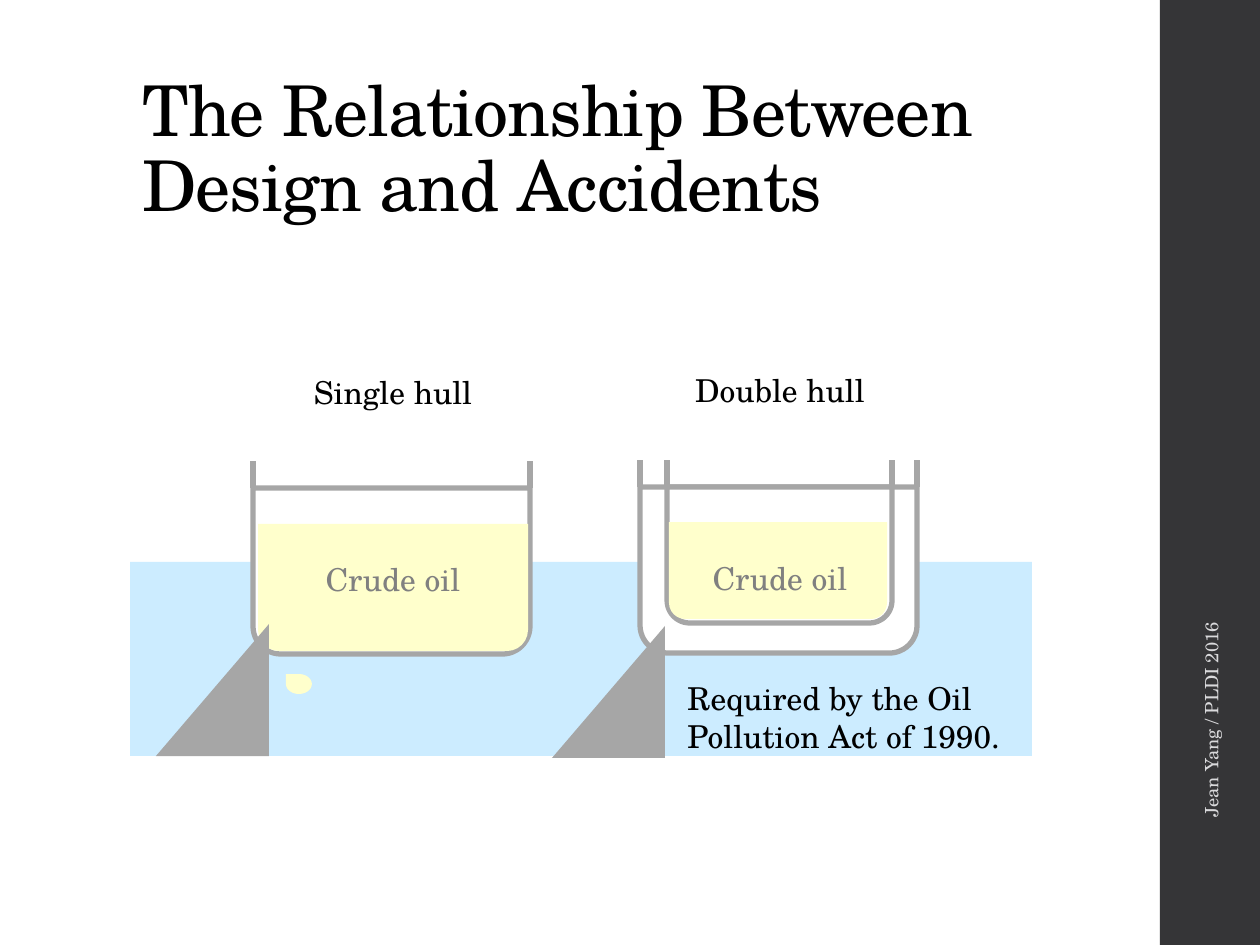
import dataclasses

import pptx
import pptx.dml.color
import pptx.enum.shapes
import pptx.enum.text
import pptx.oxml
import pptx.oxml.ns
import pptx.util

EMU_PER_PX = 914400 / 126
FONT = "TeX Gyre Schola"
COLORS = {
    "sidebar": "353537",
    "footer": "D9D9DB",
    "sea": "CCECFF",
    "steel": "A6A6A6",
    "oil": "FFFFCC",
    "oil_text": "808080",
    "hollow": "FFFFFF",
    "text": "000000",
}
SHAPES = pptx.enum.shapes.MSO_SHAPE
ALIGN = pptx.enum.text.PP_ALIGN
ANCHOR = pptx.enum.text.MSO_ANCHOR


@dataclasses.dataclass(frozen=True)
class Box:
    left: int
    top: int
    width: int
    height: int


@dataclasses.dataclass(frozen=True)
class Tanker:
    name: str
    hulls: tuple[Box, ...]
    oil: Box
    name_box: Box
    oil_label_box: Box
    rail_top: int
    rock: Box


TANKERS = (
    Tanker(
        name="Single hull",
        hulls=(Box(253, 488, 277, 166),),
        oil=Box(258, 524, 270, 127),
        name_box=Box(258, 367, 270, 50),
        oil_label_box=Box(258, 554, 270, 50),
        rail_top=461,
        rock=Box(156, 624, 113, 132),
    ),
    Tanker(
        name="Double hull",
        hulls=(Box(640, 487, 277, 166), Box(667, 487, 225, 136)),
        oil=Box(669, 522, 218, 97),
        name_box=Box(645, 365, 270, 50),
        oil_label_box=Box(645, 553, 270, 50),
        rail_top=460,
        rock=Box(552, 626, 113, 132),
    ),
)


def px(length: int) -> pptx.util.Emu:
    return pptx.util.Emu(round(length * EMU_PER_PX))


def frame(box: Box) -> tuple[pptx.util.Emu, ...]:
    return tuple(px(length) for length in dataclasses.astuple(box))


def rgb(color: str) -> pptx.dml.color.RGBColor:
    return pptx.dml.color.RGBColor.from_string(COLORS[color])


def style_line(line, color: str) -> None:
    line.color.rgb = rgb(color)
    line.width = pptx.util.Pt(3)


def add_shape(slide, kind, box: Box, fill: str, *, outline: str | None = None,
              rotation: int = 0):
    shape = slide.shapes.add_shape(kind, *frame(box))
    shape.shadow.inherit = False
    shape.rotation = rotation
    shape.fill.solid()
    shape.fill.fore_color.rgb = rgb(fill)
    if outline:
        style_line(shape.line, outline)
    else:
        shape.line.fill.background()
    return shape


def add_text(slide, text: str, box: Box, *, size: float = 18, color: str = "text",
             align=ALIGN.LEFT, anchor=ANCHOR.TOP, rotation: int = 0,
             line_spacing: float = 1.0, tracking: int = 0) -> None:
    """Place one paragraph; tracking is in hundredths of a point."""
    text_box = slide.shapes.add_textbox(*frame(box))
    text_box.rotation = rotation
    text_box.text_frame.word_wrap = True
    text_box.text_frame.vertical_anchor = anchor
    paragraph = text_box.text_frame.paragraphs[0]
    paragraph.alignment = align
    paragraph.line_spacing = line_spacing
    run = paragraph.add_run()
    run.text = text
    run.font.name = FONT
    run.font.size = pptx.util.Pt(size)
    run.font.color.rgb = rgb(color)
    if tracking:
        run.font._element.set("spc", str(tracking))


def add_rail(slide, x: int, bottom: int, top: int) -> None:
    rail = slide.shapes.add_connector(
        pptx.enum.shapes.MSO_CONNECTOR.STRAIGHT, px(x), px(bottom), px(x), px(top))
    style_line(rail.line, "steel")
    rail._element.spPr.append(pptx.oxml.parse_xml(
        f"<a:effectLst {pptx.oxml.ns.nsdecls('a')}/>"))


def add_tanker(slide, tanker: Tanker) -> None:
    for hull in tanker.hulls:
        add_shape(slide, SHAPES.ROUND_2_SAME_RECTANGLE, hull, "hollow",
                  outline="steel", rotation=180)
    add_shape(slide, SHAPES.ROUND_2_SAME_RECTANGLE, tanker.oil, "oil", rotation=180)
    for hull in tanker.hulls:
        for x in (hull.left, hull.left + hull.width):
            add_rail(slide, x, hull.top, tanker.rail_top)
    add_text(slide, "Crude oil", tanker.oil_label_box, color="oil_text",
             align=ALIGN.CENTER)
    add_text(slide, tanker.name, tanker.name_box, align=ALIGN.CENTER)
    rock = add_shape(slide, SHAPES.ISOSCELES_TRIANGLE, tanker.rock, "steel")
    rock.adjustments[0] = 1


def main() -> None:
    presentation = pptx.Presentation()
    presentation.slide_width = px(1260)
    presentation.slide_height = px(945)
    slide = presentation.slides.add_slide(presentation.slide_layouts[6])

    add_shape(slide, SHAPES.RECTANGLE, Box(1160, 0, 100, 945), "sidebar")
    add_text(slide, "Jean Yang / PLDI 2016", Box(964, 564, 494, 38), size=10.5,
             color="footer", anchor=ANCHOR.MIDDLE, rotation=270)
    add_text(slide, "The Relationship Between Design and Accidents",
             Box(130, 50, 1002, 183), size=40, anchor=ANCHOR.BOTTOM,
             line_spacing=0.9, tracking=-50)

    add_shape(slide, SHAPES.RECTANGLE, Box(130, 562, 902, 194), "sea")
    for tanker in TANKERS:
        add_tanker(slide, tanker)
    spill = add_shape(slide, SHAPES.TEAR, Box(286, 674, 26, 20), "oil")
    spill._element.spPr.find(pptx.oxml.ns.qn("a:xfrm")).set("flipH", "1")
    add_text(slide, "Required by the Oil Pollution Act of 1990.",
             Box(675, 673, 358, 89))

    presentation.save("out.pptx")


if __name__ == "__main__":
    main()
